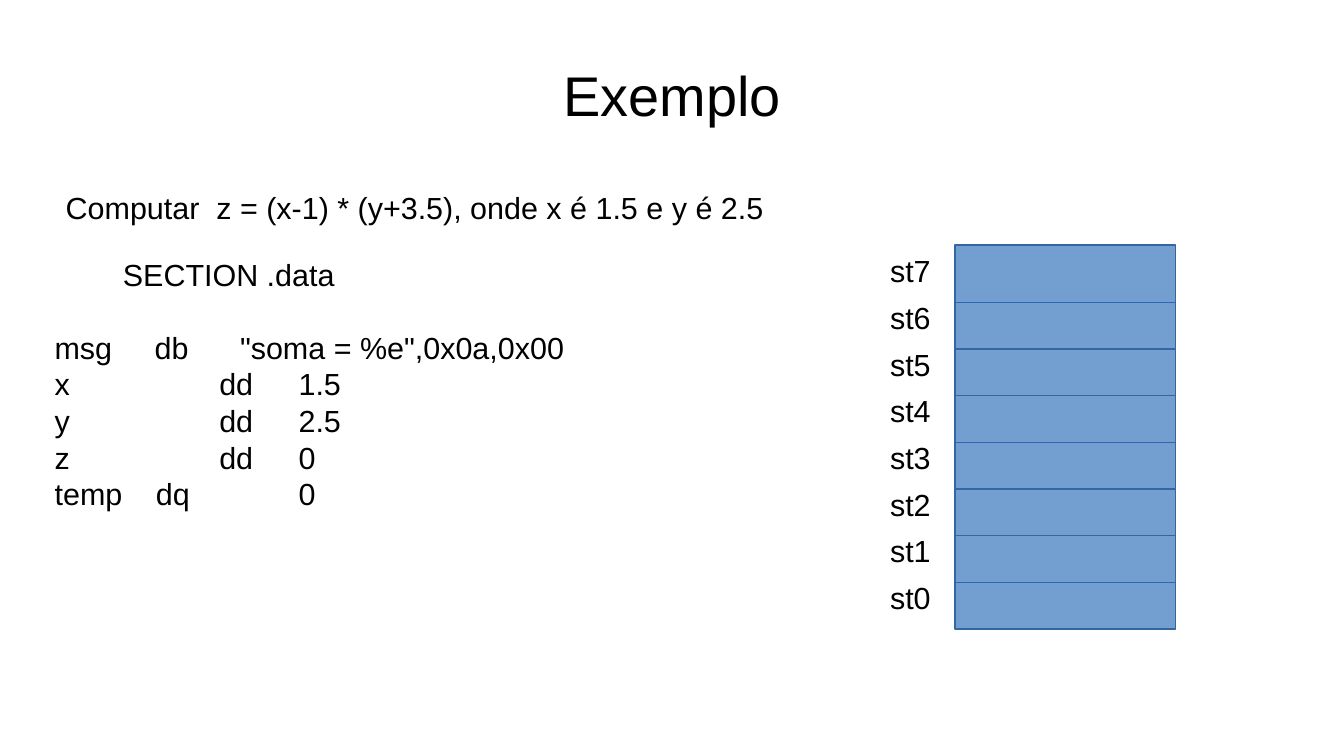
from dataclasses import dataclass

from lxml.etree import SubElement
from pptx import Presentation
from pptx.dml.color import RGBColor
from pptx.enum.shapes import MSO_SHAPE as Preset
from pptx.enum.text import MSO_ANCHOR as Anchor, PP_ALIGN as Align
from pptx.oxml.ns import qn
from pptx.util import Inches, Pt


@dataclass(frozen=True)
class Theme:
    """Colours, font and type sizes of the slide."""
    font: str = "Arial"
    ink: RGBColor = RGBColor(0x00, 0x00, 0x00)
    fill: RGBColor = RGBColor(0x72, 0x9F, 0xCF)
    outline: RGBColor = RGBColor(0x34, 0x65, 0xA4)
    title_size: float = 33
    body_size: float = 18
    section_gap: float = 21.5


THEME = Theme()

CODE_LINES = [
    ("\tSECTION .data", [0.56]),
    ("msg\tdb\t\"soma = %e\",0x0a,0x00", [0.82, 1.52]),
    ("x\tdd\t1.5", [1.35, 2]),
    ("y\tdd\t2.5", [1.35, 2]),
    ("z\tdd\t0", [1.35, 2]),
    ("temp\tdq\t0", [0.83, 2]),
]
REGISTERS = [f"st{number}" for number in range(8)]


def add_text(slide, box, lines, size=THEME.body_size):
    """Add a text box with one paragraph per line and return its frame."""
    frame = slide.shapes.add_textbox(*map(Inches, box)).text_frame
    frame.word_wrap = True
    for index, line in enumerate(lines):
        paragraph = frame.add_paragraph() if index else frame.paragraphs[0]
        paragraph.text = line
        paragraph.font.name = THEME.font
        paragraph.font.size = Pt(size)
        paragraph.font.color.rgb = THEME.ink
    return frame


def set_tab_stops(paragraph, stops):
    """Give a paragraph left tab stops, measured in inches."""
    tab_list = SubElement(paragraph._p.get_or_add_pPr(), qn("a:tabLst"))
    for stop in stops:
        SubElement(tab_list, qn("a:tab"), pos=str(Inches(stop)), algn="l")


def add_title(slide, box, title):
    """Place the centred title in its box."""
    frame = add_text(slide, box, [title], THEME.title_size)
    frame.margin_left = frame.margin_right = 0
    frame.margin_top = frame.margin_bottom = 0
    frame.vertical_anchor = Anchor.MIDDLE
    frame.paragraphs[0].alignment = Align.CENTER


def add_code(slide, box, code_lines):
    """Place the data section with its columns set by tab stops."""
    frame = add_text(slide, box, [line for line, _ in code_lines])
    for paragraph, (_, stops) in zip(frame.paragraphs, code_lines):
        set_tab_stops(paragraph, stops)
    frame.paragraphs[1].space_before = Pt(THEME.section_gap)


def add_register_stack(slide, box, registers):
    """Stack labelled register cells from the bottom of the box upwards."""
    left, top, width, height = box
    label_width, label_height = 0.6, 0.38
    cell_left, cell_height = left + 0.63, 0.47
    pitch = (height - cell_height) / (len(registers) - 1)
    for index, register in enumerate(registers):
        cell_top = top + height - cell_height - index * pitch
        cell = slide.shapes.add_shape(
            Preset.RECTANGLE, Inches(cell_left), Inches(cell_top),
            Inches(left + width - cell_left), Inches(cell_height))
        cell.shadow.inherit = False
        cell.fill.solid()
        cell.fill.fore_color.rgb = THEME.fill
        cell.line.color.rgb = THEME.outline
        cell.line.width = Pt(0)
        label_box = (left, cell_top + 0.01, label_width, label_height)
        add_text(slide, label_box, [register])


def main():
    """Build the slide and save it."""
    presentation = Presentation()
    presentation.slide_width = Inches(11.02)
    presentation.slide_height = Inches(6.2)
    slide = presentation.slides.add_slide(presentation.slide_layouts[6])
    add_title(slide, (0.55, 0.25, 9.92, 1.04), "Exemplo")
    add_register_stack(slide, (7.2, 2.01, 2.44, 3.15), REGISTERS)
    add_text(slide, (0.44, 1.5, 6.25, 0.38),
             ["Computar  z = (x-1) * (y+3.5), onde x é 1.5 e y é 2.5"])
    add_code(slide, (0.35, 2.05, 4.5, 2.34), CODE_LINES)
    presentation.save("out.pptx")


if __name__ == "__main__":
    main()
